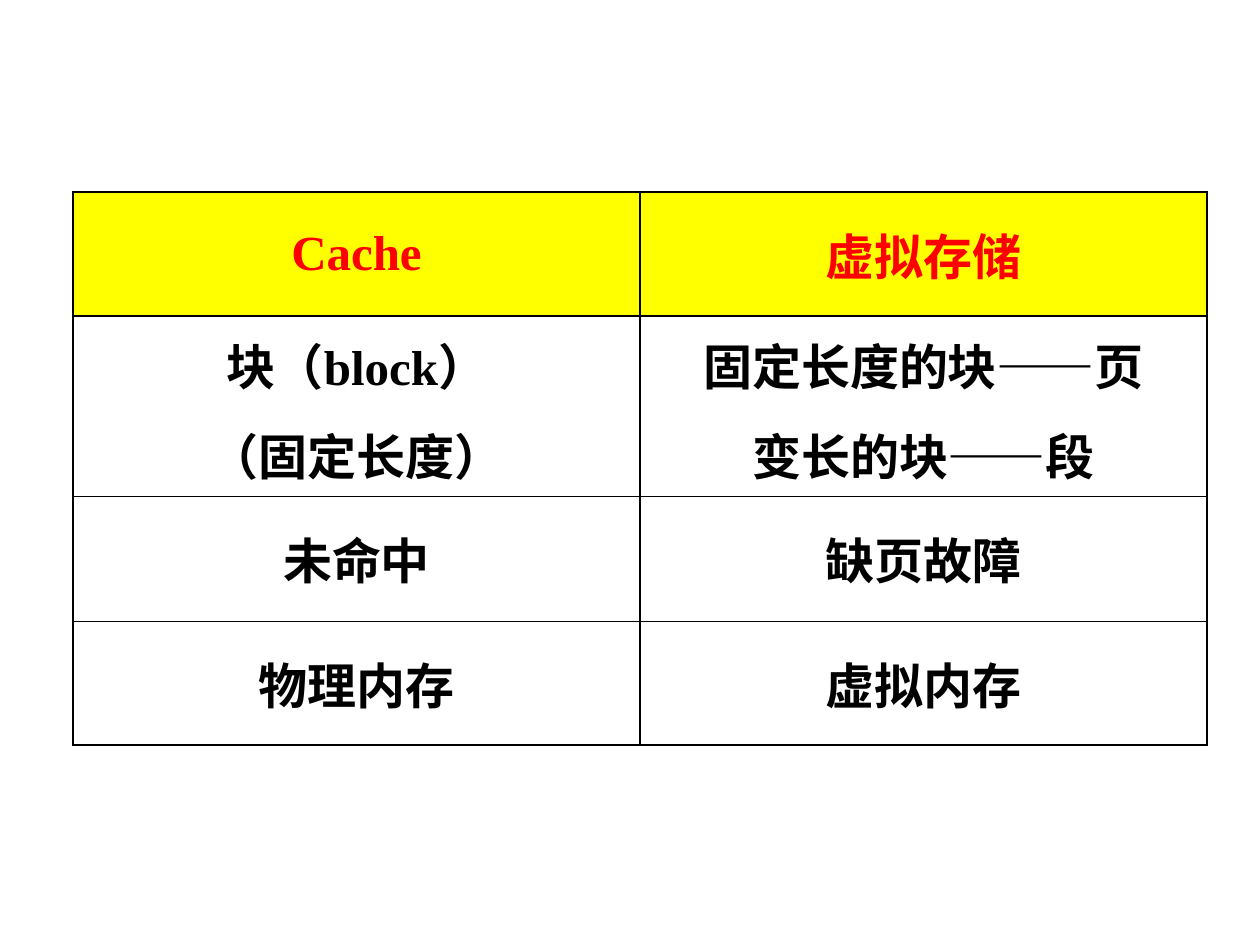
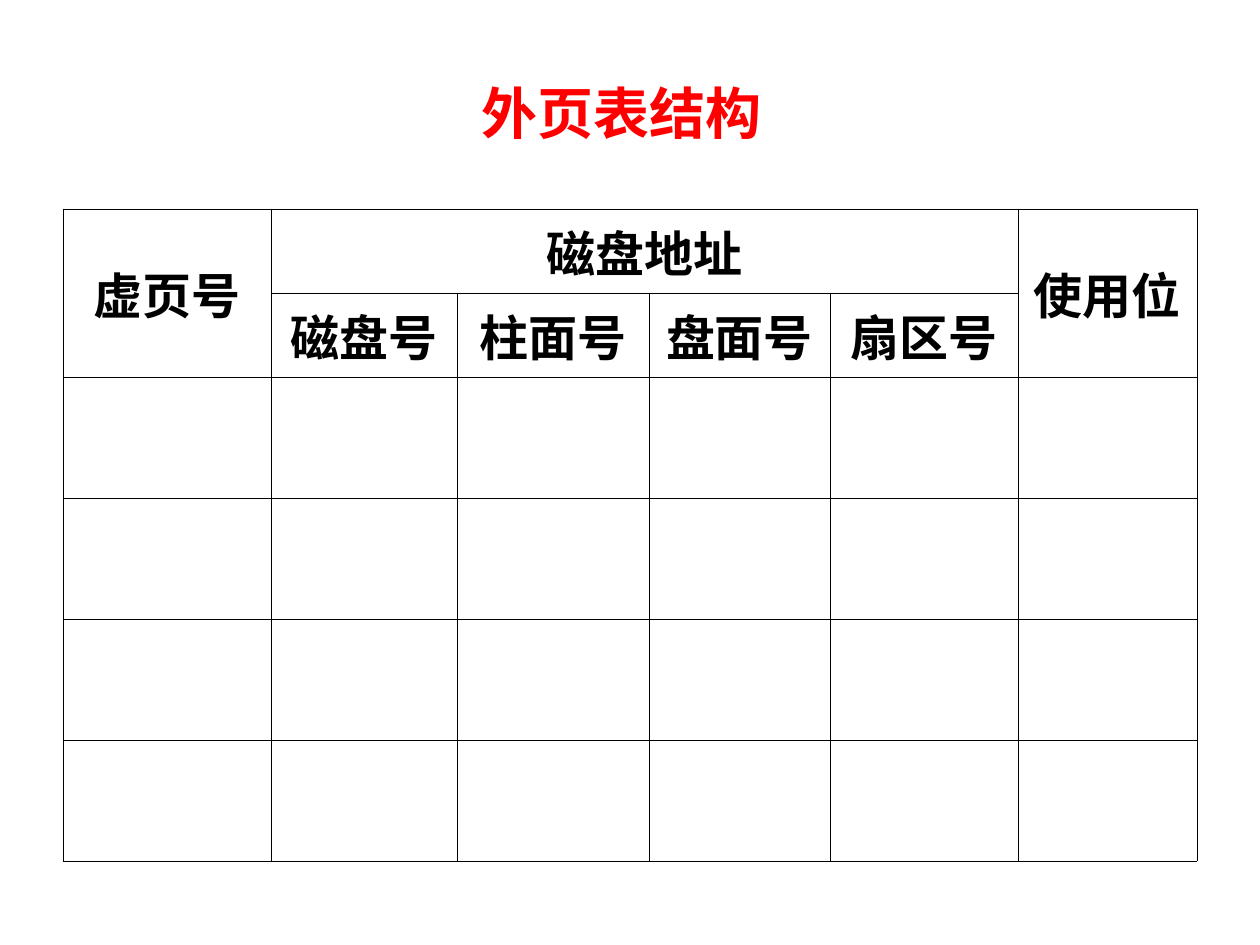
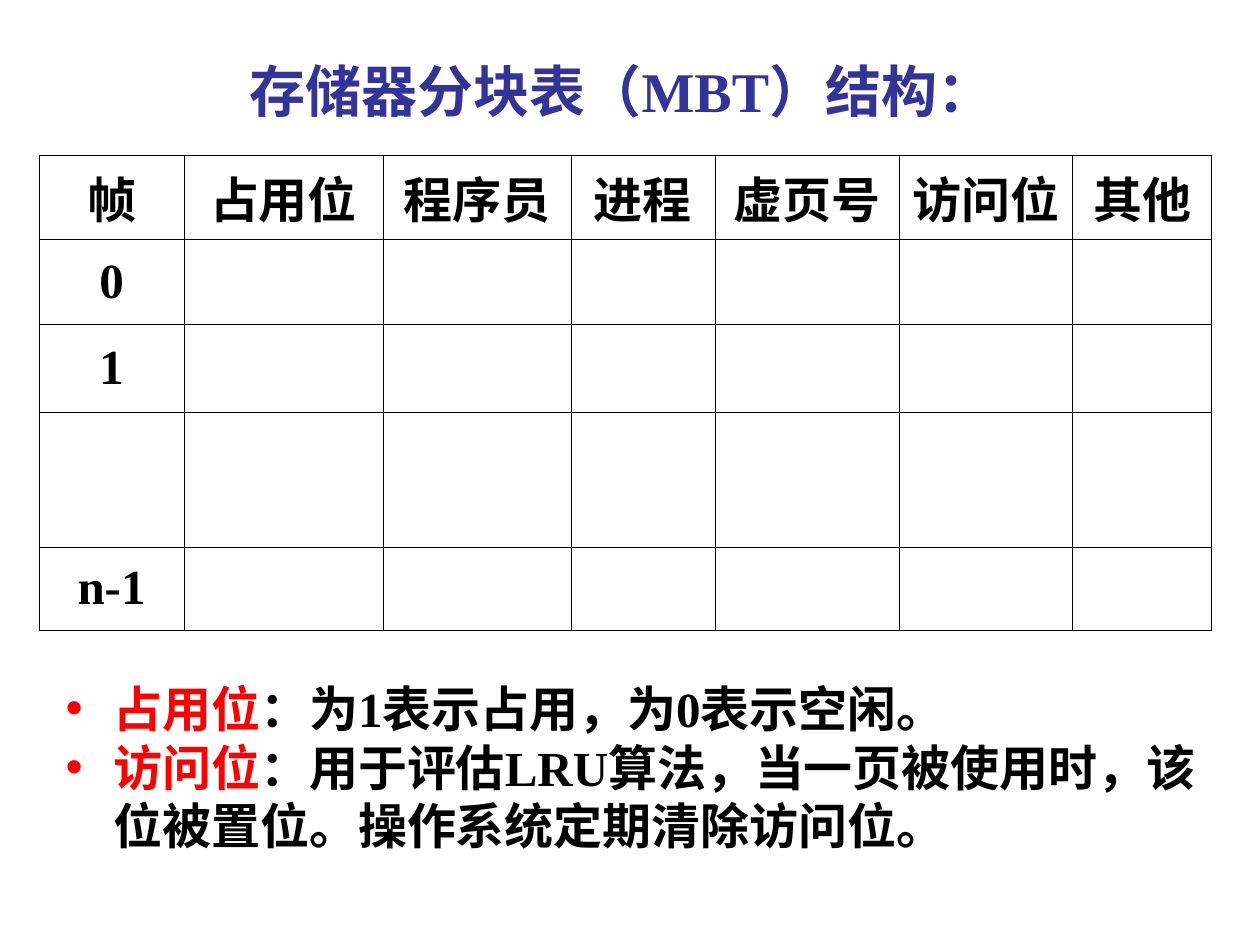
from dataclasses import dataclass

from lxml.etree import SubElement
from pptx import Presentation
from pptx.dml.color import RGBColor
from pptx.enum.text import MSO_ANCHOR, MSO_AUTO_SIZE, PP_ALIGN
from pptx.oxml.ns import qn
from pptx.util import Emu, Inches, Pt

EMU_PER_PX = 914400 / 126
TITLE_AND_CONTENT, TITLE_ONLY, BLANK = 1, 5, 6


@dataclass(frozen=True)
class Theme:
    black: str = "000000"
    red: str = "FF0000"
    blue: str = "333399"
    yellow: str = "FFFF00"
    serif: str = "Times New Roman"
    sans: str = "Arial"
    text_size: int = 28
    title_size: int = 32
    title_space_size: int = 44
    thin: float = 0.45
    thick: float = 1.08


THEME = Theme()

# "rules" holds the widths of the horizontal lines from top to bottom; 0 draws none.
COMPARISON_TABLE = {
    "at": (73, 192),
    "columns": [567, 567],
    "rows": [124, 96, 84, 125, 124],
    "texts": [
        ["Cache", "虚拟存储"],
        ["块（block）", "固定长度的块——页"],
        ["（固定长度）", "变长的块——段"],
        ["未命中", "缺页故障"],
        ["物理内存", "虚拟内存"],
    ],
    "header": (THEME.yellow, THEME.red),
    "sides": THEME.thick,
    "rules": [THEME.thick, THEME.thick, 0, THEME.thin, THEME.thin, THEME.thick],
}

OUTER_PAGE_TITLE = "外页表结构"
OUTER_PAGE_TABLE = {
    "at": (63, 209),
    "columns": [208, 186, 192, 181, 188, 179],
    "rows": [84, 84] + [121] * 4,
    "texts": [
        ["虚页号", "磁盘地址", "", "", "", "使用位"],
        ["", "磁盘号", "柱面号", "盘面号", "扇区号", ""],
    ],
    "merges": [((0, 0), (1, 0)), ((0, 1), (0, 4)), ((0, 5), (1, 5))],
}

BLOCK_TITLE = "存储器分块表（MBT）结构："
BLOCK_TABLE = {
    "at": (39, 155),
    "columns": [145, 199, 188, 144, 184, 174, 139],
    "rows": [84, 85, 88, 135, 83],
    "texts": [
        ["帧", "占用位", "程序员", "进程", "虚页号", "访问位", "其他"],
        ["0"], ["1"], [], ["n-1"],
    ],
}
BIT_NOTES = [
    ("占用位", "：为1表示占用，为0表示空闲。"),
    ("访问位", "：用于评估LRU算法，当一页被使用时，该位被置位。操作系统定期清除访问位。"),
]


def px(length):
    return Emu(round(length * EMU_PER_PX))


def place(shape, left, top, width, height):
    shape.left, shape.top, shape.width, shape.height = map(px, (left, top, width, height))


def format_run(run, color, size=THEME.text_size, name=THEME.serif, bold=True):
    font = run.font
    font.size, font.name, font.bold = Pt(size), name, bold
    font.color.rgb = RGBColor.from_string(color)


def add_runs(paragraph, *texts):
    for text in texts:
        paragraph.add_run().text = text
    return paragraph.runs


def add_border(cell, side, width):
    line = SubElement(cell._tc.get_or_add_tcPr(), qn(f"a:ln{side}"), w=str(Pt(width)))
    if width:
        fill = SubElement(line, qn("a:solidFill"))
        SubElement(fill, qn("a:srgbClr"), val=THEME.black)
    else:
        SubElement(line, qn("a:noFill"))


def add_grid(slide, content):
    columns, rows, texts = content["columns"], content["rows"], content["texts"]
    side_width = content.get("sides", THEME.thin)
    rules = content.get("rules", [THEME.thin] * (len(rows) + 1))
    header_fill, header_color = content.get("header", (None, THEME.black))

    frame = slide.shapes.add_table(len(rows), len(columns), 0, 0, px(sum(columns)), px(sum(rows)))
    place(frame, *content["at"], sum(columns), sum(rows))
    table = frame.table
    table.first_row = table.horz_banding = False
    for column, width in zip(table.columns, columns):
        column.width = px(width)
    for index, (row, height) in enumerate(zip(table.rows, rows)):
        row.height = px(height)
        for cell in row.cells:
            widths = (side_width, side_width, rules[index], rules[index + 1])
            for side, width in zip("LRTB", widths):
                add_border(cell, side, width)
            if index == 0 and header_fill:
                cell.fill.solid()
                cell.fill.fore_color.rgb = RGBColor.from_string(header_fill)
            else:
                cell.fill.background()

    for first, last in content.get("merges", []):
        table.cell(*first).merge(table.cell(*last))
    for row_index, row_texts in enumerate(texts):
        for column_index, text in enumerate(row_texts):
            if not text:
                continue
            cell = table.cell(row_index, column_index)
            cell.vertical_anchor = MSO_ANCHOR.MIDDLE
            cell.text_frame.text = text
            paragraph = cell.text_frame.paragraphs[0]
            paragraph.alignment = PP_ALIGN.CENTER
            format_run(paragraph.runs[0], header_color if row_index == 0 else THEME.black)


def set_title(slide, text, height, color, name):
    title = slide.shapes.title
    place(title, 63, 38, 1134, height)
    text_frame = title.text_frame
    text_frame.auto_size = MSO_AUTO_SIZE.NONE
    text_frame.vertical_anchor = MSO_ANCHOR.MIDDLE
    paragraph = text_frame.paragraphs[0]
    paragraph.alignment = PP_ALIGN.CENTER
    heading, space = add_runs(paragraph, text, " ")
    format_run(heading, color, THEME.title_size, name)
    format_run(space, THEME.black, THEME.title_space_size, THEME.sans, bold=False)


def add_bullet(paragraph):
    properties = paragraph._p.get_or_add_pPr()
    properties.set("marL", str(Inches(0.38)))
    properties.set("indent", str(Inches(-0.38)))
    color = SubElement(properties, qn("a:buClr"))
    SubElement(color, qn("a:srgbClr"), val=THEME.red)
    SubElement(properties, qn("a:buFont"), typeface=THEME.sans)
    SubElement(properties, qn("a:buChar"), char="•")


def fill_notes(body, notes):
    place(body, 53, 672, 1182, 189)
    text_frame = body.text_frame
    text_frame.auto_size = MSO_AUTO_SIZE.NONE
    for index, note in enumerate(notes):
        paragraph = text_frame.add_paragraph() if index else text_frame.paragraphs[0]
        paragraph.space_before = Pt(0)
        add_bullet(paragraph)
        term, meaning = add_runs(paragraph, *note)
        format_run(term, THEME.red)
        format_run(meaning, THEME.black)


def main():
    presentation = Presentation()
    presentation.slide_width, presentation.slide_height = Inches(10), Inches(7.5)
    comparison, outer_page, block = [
        presentation.slides.add_slide(presentation.slide_layouts[layout])
        for layout in (BLANK, TITLE_ONLY, TITLE_AND_CONTENT)
    ]

    add_grid(comparison, COMPARISON_TABLE)

    set_title(outer_page, OUTER_PAGE_TITLE, 131, THEME.red, THEME.sans)
    add_grid(outer_page, OUTER_PAGE_TABLE)

    set_title(block, BLOCK_TITLE, 87, THEME.blue, THEME.serif)
    add_grid(block, BLOCK_TABLE)
    fill_notes(block.placeholders[1], BIT_NOTES)

    presentation.save("out.pptx")


if __name__ == "__main__":
    main()
